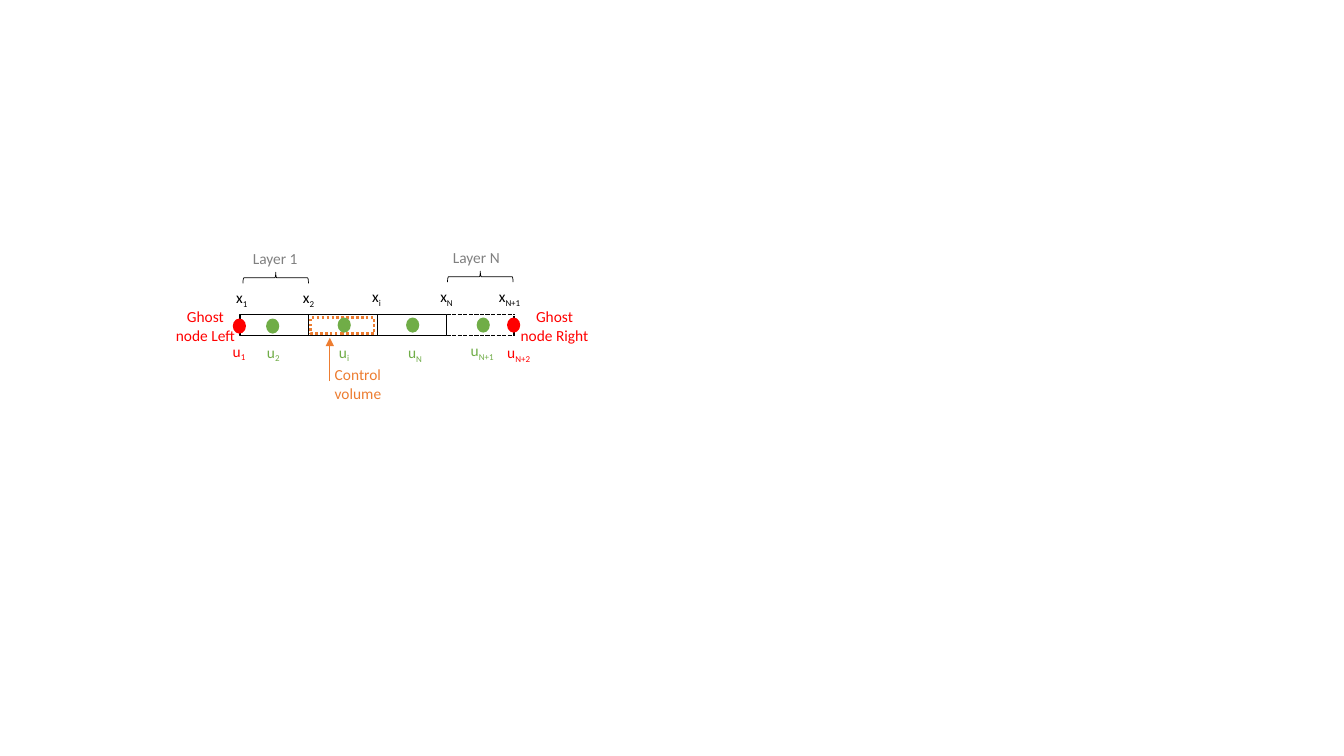
import pptx
import pptx.util
import pptx.dml.color
import pptx.enum.dml
import pptx.enum.shapes
import pptx.enum.text
import lxml.etree

Pt = pptx.util.Pt
Shape = pptx.enum.shapes.MSO_SHAPE
Dash = pptx.enum.dml.MSO_LINE
A = "http://schemas.openxmlformats.org/drawingml/2006/main"

BLACK, RED, GREEN = "000000", "FF0000", "70AD47"
ORANGE, GREY = "ED7D31", "808080"

# Mesh: three solid cells, then one dashed cell
LEFT, TOP, PITCH, TALL, CELLS = 171.4, 224.64, 49.2, 15.12, 3
DOT_W, DOT_H = 9.4, 10.8

# Node: centre x, top, colour
NODES = [
    (171, 227.5, RED), (194.8, 227.5, GREEN), (245.9, 226.8, GREEN),
    (294.8, 226.8, GREEN), (345.2, 226.8, GREEN), (366.9, 226.8, RED),
]
# Label: letter, subscript, left, top, width, colour
LABELS = [
    ("u", "1", 159.1, 240.5, 24.8, RED),
    ("u", "2", 183.6, 241.2, 24.8, GREEN),
    ("u", "i", 235, 241.2, 24.8, GREEN),
    ("u", "N", 284.4, 241.6, 29.5, GREEN),
    ("u", "N+1", 329.2, 240.1, 33, GREEN),
    ("u", "N+2", 355.2, 241.4, 34.6, RED),
    ("x", "1", 161.6, 202.3, 24.8, BLACK),
    ("x", "2", 209.2, 202.3, 24.8, BLACK),
    ("x", "i", 258.7, 201.8, 24.8, BLACK),
    ("x", "N", 307.4, 201.8, 24.8, BLACK),
    ("x", "N+1", 349.2, 201.6, 34.6, BLACK),
]
# Caption: text, left, top, width, height, colour, centred
CAPTIONS = [
    ("Layer 1", 173.5, 174.2, 52, 20.6, GREY, False),
    ("Layer N", 316.4, 173.5, 52, 20.6, GREY, False),
    ("Control volume", 232, 257.3, 52, 33.9, ORANGE, False),
    ("Ghost node Left", 118, 216, 57.4, 33.9, RED, True),
    ("Ghost node Right", 363.6, 216, 65, 33.9, RED, True),
]
# Brace: left and top before its quarter turn
BRACES = [(193, 175), (339.1, 174.2)]
BRACE_W, BRACE_H = 7.9, 46.8

deck = pptx.Presentation()
deck.slide_width, deck.slide_height = Pt(960), Pt(540)
slide = deck.slides.add_slide(deck.slide_layouts[6])


def tint(code):
    return pptx.dml.color.RGBColor.from_string(code)


def stroke(line, color, width, dash=None):
    line.color.rgb = tint(color)
    line.width = Pt(width)
    if dash:
        line.dash_style = dash


def draw(kind, x, y, w, h, fill=None, line=None):
    """Add a shape; line is (colour, width, dash)."""
    item = slide.shapes.add_shape(kind, Pt(x), Pt(y), Pt(w), Pt(h))
    item.shadow.inherit = False
    if fill:
        item.fill.solid()
        item.fill.fore_color.rgb = tint(fill)
    else:
        item.fill.background()
    if line:
        stroke(item.line, *line)
    else:
        item.line.fill.background()
    return item


def link(x1, y1, x2, y2, color, width, dash=None, arrow=False):
    item = slide.shapes.add_connector(
        pptx.enum.shapes.MSO_CONNECTOR.STRAIGHT, Pt(x1), Pt(y1), Pt(x2), Pt(y2))
    stroke(item.line, color, width, dash)
    if arrow:
        outline = item.line._get_or_add_ln()
        lxml.etree.SubElement(outline, f"{{{A}}}tailEnd", type="triangle")
    lxml.etree.SubElement(item._element.spPr, f"{{{A}}}effectLst")


def write(parts, x, y, w, h, color, center=False):
    """Add a text box; parts holds pairs of text and whether it is subscript."""
    box = slide.shapes.add_textbox(Pt(x), Pt(y), Pt(w), Pt(h))
    frame = box.text_frame
    frame.word_wrap = True
    frame.auto_size = pptx.enum.text.MSO_AUTO_SIZE.SHAPE_TO_FIT_TEXT
    para = frame.paragraphs[0]
    if center:
        para.alignment = pptx.enum.text.PP_ALIGN.CENTER
    for text, sub in parts:
        run = para.add_run()
        run.text = text
        run.font.name = "Calibri"
        run.font.size = Pt(11)
        run.font.color.rgb = tint(color)
        if sub:
            run._r.get_or_add_rPr().set("baseline", "-25000")


for i in range(CELLS):
    draw(Shape.RECTANGLE, LEFT + i * PITCH, TOP, PITCH, TALL, line=(BLACK, 1))

start = LEFT + CELLS * PITCH
for y in (TOP, TOP + TALL):
    link(start, y, start + PITCH, y, BLACK, 1, Dash.SQUARE_DOT)
link(367.2, 225.4, 367.2, 240.5, BLACK, 1, Dash.SQUARE_DOT)

for x, y in BRACES:
    brace = draw(Shape.LEFT_BRACE, x, y, BRACE_W, BRACE_H, line=(BLACK, 0.5))
    brace.rotation = 90

draw(Shape.RECTANGLE, 221.8, 226.8, 45.4, 11.5,
     line=(ORANGE, 1.75, Dash.ROUND_DOT))
link(235.6, 272.2, 235.6, 241.2, ORANGE, 0.5, arrow=True)

for mid, y, color in NODES:
    draw(Shape.OVAL, mid - DOT_W / 2, y, DOT_W, DOT_H, fill=color)

for letter, sub, x, y, w, color in LABELS:
    write([(letter, False), (sub, True)], x, y, w, 20.6, color)

for text, *place in CAPTIONS:
    write([(text, False)], *place)

deck.save("out.pptx")
